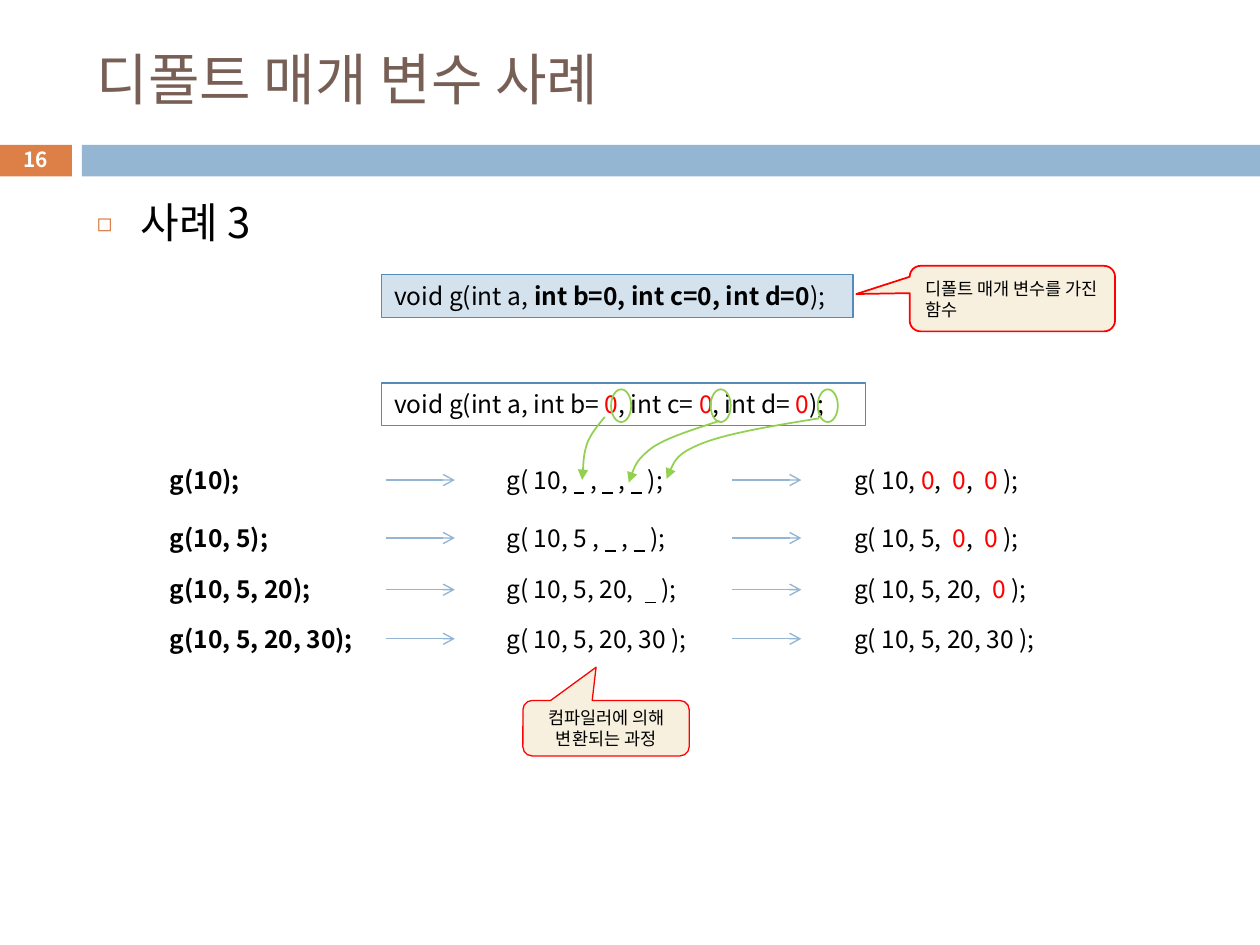
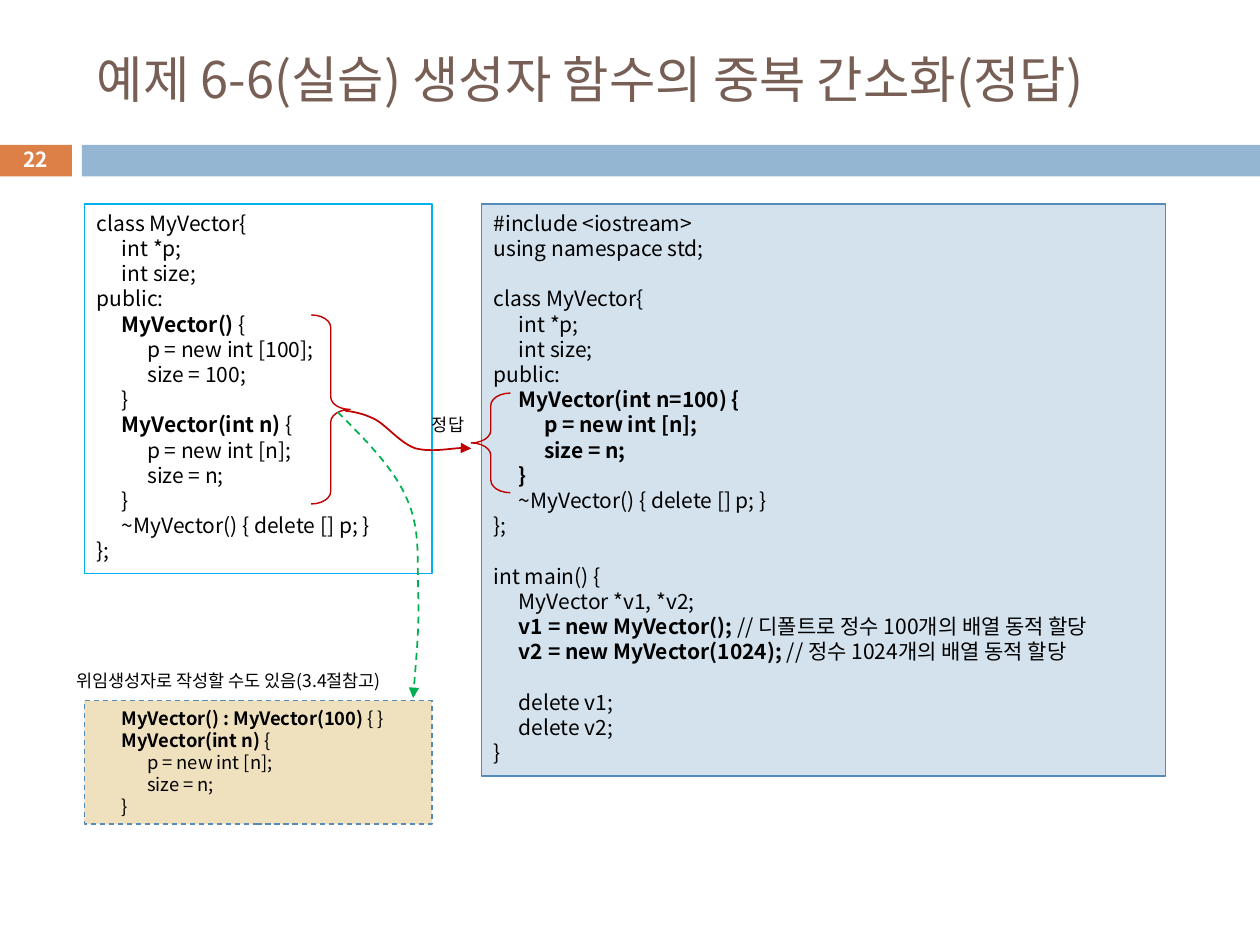
from itertools import pairwise

from lxml.etree import SubElement
from pptx import Presentation
from pptx.dml.color import RGBColor
from pptx.enum.dml import MSO_LINE as Dash
from pptx.enum.shapes import MSO_CONNECTOR as Connector, MSO_SHAPE as Shape
from pptx.enum.text import MSO_ANCHOR as Anchor, PP_ALIGN as Align
from pptx.oxml.ns import qn
from pptx.util import Pt

PX = 9144  # 100 px to the inch
FONT = "Noto Sans CJK KR"
LINE_HEIGHT = 1.2
INDENT = 20
COLORS = {
    "title": "775F55", "badge": "DD8047", "band": "94B6D2", "white": "FFFFFF",
    "text": "000000", "red": "FF0000", "panel": "D4E2ED", "border": "558BB8",
    "note": "F7F0DE", "delegate": "EFE0BE", "before": "00B0F0",
    "default": "92D050", "brace": "C00000", "detour": "00B050",
}

CLASS_BEFORE = """class MyVector{
\tint *p;
\tint size;
public:
\t|MyVector() |{
\t\tp = new int [100];
\t\tsize = 100;
\t}
\t|MyVector(int n) |{
\t\tp = new int [n];
\t\tsize = n;
\t}
\t~MyVector() { delete [] p; }
};"""

PROGRAM_AFTER = """#include <iostream>
using namespace std;

class MyVector{
\tint *p;
\tint size;
public:
\t|MyVector(int n=100) {
\t\t|p = new int [n];
\t\t|size = n;
\t|}
\t~MyVector() { delete [] p; }
};

int main() {
\tMyVector *v1, *v2;
\t|v1 = new MyVector(); |// 디폴트로 정수 100개의 배열 동적 할당
\t|v2 = new MyVector(1024); |// 정수 1024개의 배열 동적 할당

\tdelete v1;
\tdelete v2;
}"""

DELEGATING = """\t|MyVector() : MyVector(100)| { }
\t|MyVector(int n) |{
\t\tp = new int [n];
\t\tsize = n;
\t}"""


def rgb(name):
    return RGBColor.from_string(COLORS[name])


class Deck:
    def __init__(self):
        self.prs = Presentation()
        self.prs.slide_width, self.prs.slide_height = 1000 * PX, 750 * PX
        self.slide = None

    def new_slide(self, title, number, title_size=32):
        self.slide = self.prs.slides.add_slide(self.prs.slide_layouts[6])
        self.shape(Shape.RECTANGLE, (-1, 115, 58, 25), fill="badge")
        self.shape(Shape.RECTANGLE, (65, 115, 935, 25), fill="band")
        self.text((67, 25, 892, 74), title, title_size, "title", anchor=Anchor.MIDDLE)
        self.text((-1, 113, 58, 27), f"|{number}", 11.9, "white",
                  align=Align.CENTER, anchor=Anchor.MIDDLE)

    def box(self, bounds):
        return [length * PX for length in bounds]

    def stroke(self, item, color, width, dashed=False, arrow=None):
        item.line.color.rgb = rgb(color)
        item.line.width = Pt(width)
        if dashed:
            item.line.dash_style = Dash.DASH
        if arrow:
            SubElement(item.line._get_or_add_ln(), qn("a:tailEnd"), type=arrow)

    def shape(self, kind, bounds, fill=None, line=None, width=0.75, dashed=False, adjust=()):
        item = self.slide.shapes.add_shape(kind, *self.box(bounds))
        item.shadow.inherit = False
        for i, value in enumerate(adjust):
            item.adjustments[i] = value
        if fill:
            item.fill.solid()
            item.fill.fore_color.rgb = rgb(fill)
        else:
            item.fill.background()
        if line:
            self.stroke(item, line, width, dashed)
        else:
            item.line.fill.background()
        return item

    def text(self, bounds, content, size, color="text", **style):
        item = self.slide.shapes.add_textbox(*self.box(bounds))
        self.set_text(item, content, size, color, **style)
        return item

    def set_text(self, item, content, size, color="text", accent="bold",
                 align=Align.LEFT, anchor=Anchor.TOP):
        """Fill a shape: "|" turns the accent on or off, tabs indent, empty lines become space."""
        frame = item.text_frame
        frame.word_wrap = True
        frame.vertical_anchor = anchor
        pitch = Pt(size * LINE_HEIGHT)
        for previous, line in pairwise([None, *content.split("\n")]):
            if not line:
                continue
            paragraph = frame.paragraphs[0] if previous is None else frame.add_paragraph()
            paragraph.alignment = align
            paragraph.line_spacing = pitch
            if previous == "":
                paragraph.space_before = pitch
            code = line.lstrip("\t")
            depth = len(line) - len(code)
            if depth:
                paragraph._p.get_or_add_pPr().set("marL", str(depth * INDENT * PX))
            for i, part in enumerate(code.split("|")):
                if part:
                    self.add_run(paragraph, part, size, color, accent if i % 2 else None)

    def add_run(self, paragraph, part, size, color, accent):
        run = paragraph.add_run()
        run.text = part
        font = run.font
        font.name, font.size = FONT, Pt(size)
        font.color.rgb = rgb("red" if accent == "red" else color)
        font.bold = accent == "bold"
        font.underline = accent == "underline"
        SubElement(run._r.get_or_add_rPr(), qn("a:ea"), typeface=FONT)

    def bullet(self, bounds, content, size):
        item = self.text(bounds, content, size)
        properties = item.text_frame.paragraphs[0]._p.get_or_add_pPr()
        properties.set("marL", str(35 * PX))
        properties.set("indent", str(-35 * PX))
        color = SubElement(properties, qn("a:buClr"))
        SubElement(color, qn("a:srgbClr"), val=COLORS["badge"])
        SubElement(properties, qn("a:buSzPct"), val="60000")
        SubElement(properties, qn("a:buFont"), typeface=FONT)
        SubElement(properties, qn("a:buChar"), char="◻")

    def code(self, bounds, content, size, accent="bold", **look):
        self.set_text(self.shape(Shape.RECTANGLE, bounds, **look), content, size, accent=accent)

    def callout(self, bounds, content, tip, width, align):
        item = self.shape(Shape.ROUNDED_RECTANGULAR_CALLOUT, bounds, "note", "red", width,
                          adjust=(*tip, 0.167))
        self.set_text(item, content, 10, align=align, anchor=Anchor.MIDDLE)

    def arrow(self, left, right, y):
        item = self.slide.shapes.add_connector(
            Connector.STRAIGHT, *self.box((left, y, right, y)))
        self.stroke(item, "band", 0.79, arrow="arrow")
        SubElement(item._element.spPr, qn("a:effectLst"))

    def curve(self, start, points, color, dashed=False):
        """Draw an arrow along cubic curves; each takes three points."""
        builder = self.slide.shapes.build_freeform(*start, scale=PX)
        builder.add_line_segments(points, close=False)
        item = builder.convert_to_shape()
        item.shadow.inherit = False
        item.fill.background()
        self.stroke(item, color, 1, dashed, "triangle")
        segments = list(item._element.iter(qn("a:lnTo")))
        track = segments[0].getparent()
        for i in range(0, len(segments), 3):
            bezier = SubElement(track, qn("a:cubicBezTo"))
            for segment in segments[i:i + 3]:
                bezier.append(segment[0])
                track.remove(segment)


def default_parameters(deck):
    deck.new_slide("디폴트 매개 변수 사례", 16)
    deck.bullet((67, 151, 892, 551), "사례 3", 24)
    deck.code((303, 304, 384, 34), "void g(int a, int b= |0|, int c= |0|, int d= |0|);",
              14, accent="red", line="border")

    calls = [
        (364, "g(10);", "g( 10, |  | , |  | , |  | );", "g( 10, |0|,  |0|,  |0| );"),
        (410, "g(10, 5);", "g( 10, 5 , |  | , |  | );", "g( 10, 5,  |0|,  |0| );"),
        (451, "g(10, 5, 20);", "g( 10, 5, 20,  |  | );", "g( 10, 5, 20,  |0| );"),
        (490, "g(10, 5, 20, 30);", "g( 10, 5, 20, 30 );", "g( 10, 5, 20, 30 );"),
    ]
    for top, call, blanks, filled in calls:
        deck.text((125, top, 174, 34), "|" + call, 14)
        deck.text((392, top, 179, 34), blanks, 14, accent="underline")
        deck.text((668, top, 172, 34), filled, 14, accent="red")
        for left in (306, 581):
            deck.arrow(left, left + 55, top + 17)

    for left in (485, 564, 649):
        deck.shape(Shape.OVAL, (left, 309, 16, 26), line="default", width=1)
    deck.curve((480, 331), [(475, 337), (469, 344), (466, 352),
                            (463, 361), (463, 371), (462, 381)], "default")
    deck.curve((571, 334), [(550, 341), (530, 347), (518, 355),
                            (506, 364), (502, 373), (499, 383)], "default")
    deck.curve((650, 332), [(613, 338), (577, 344), (557, 352),
                            (537, 360), (533, 370), (529, 380)], "default")

    deck.code((303, 218, 374, 34), "void g(int a, |int b=0, int c=0, int d=0|);",
              14, fill="panel", line="border")
    deck.callout((722, 211, 163, 52), "디폴트 매개 변수를 가진 함수",
                 (-0.76, -0.07), 1, Align.LEFT)
    deck.callout((415, 556, 132, 44), "컴파일러에 의해 변환되는 과정",
                 (-0.06, -1.1), 0.75, Align.CENTER)


def simplified_constructors(deck):
    deck.new_slide("예제 6-6(실습) 생성자 함수의 중복 간소화(정답)", 22, 28.8)
    deck.code((67, 162, 276, 293), CLASS_BEFORE, 12, line="before")
    deck.code((382, 162, 543, 454), PROGRAM_AFTER, 12, fill="panel", line="border")
    for kind, bounds in ((Shape.RIGHT_BRACE, (247, 250, 31, 150)),
                         (Shape.LEFT_BRACE, (374, 312, 31, 79))):
        deck.shape(kind, bounds, line="brace", width=0.79, adjust=(0.32, 0.5))
    deck.curve((274, 326), [(281, 327), (288, 328), (298, 333),
                            (307, 338), (318, 352), (330, 356),
                            (343, 359), (369, 354), (374, 356)], "brace")
    deck.code((67, 556, 276, 98), DELEGATING, 10.5,
              fill="delegate", line="border", dashed=True)
    deck.curve((268, 327), [(290, 349), (313, 372), (323, 396),
                            (334, 420), (331, 445), (332, 471),
                            (333, 497), (330, 526), (328, 554)], "detour", dashed=True)
    deck.text((51, 527, 286, 27), "위임생성자로 작성할 수도 있음(3.4절참고)", 10)
    deck.text((333, 324, 48, 27), "정답", 10)


def main():
    deck = Deck()
    default_parameters(deck)
    simplified_constructors(deck)
    deck.prs.save("out.pptx")


if __name__ == "__main__":
    main()
